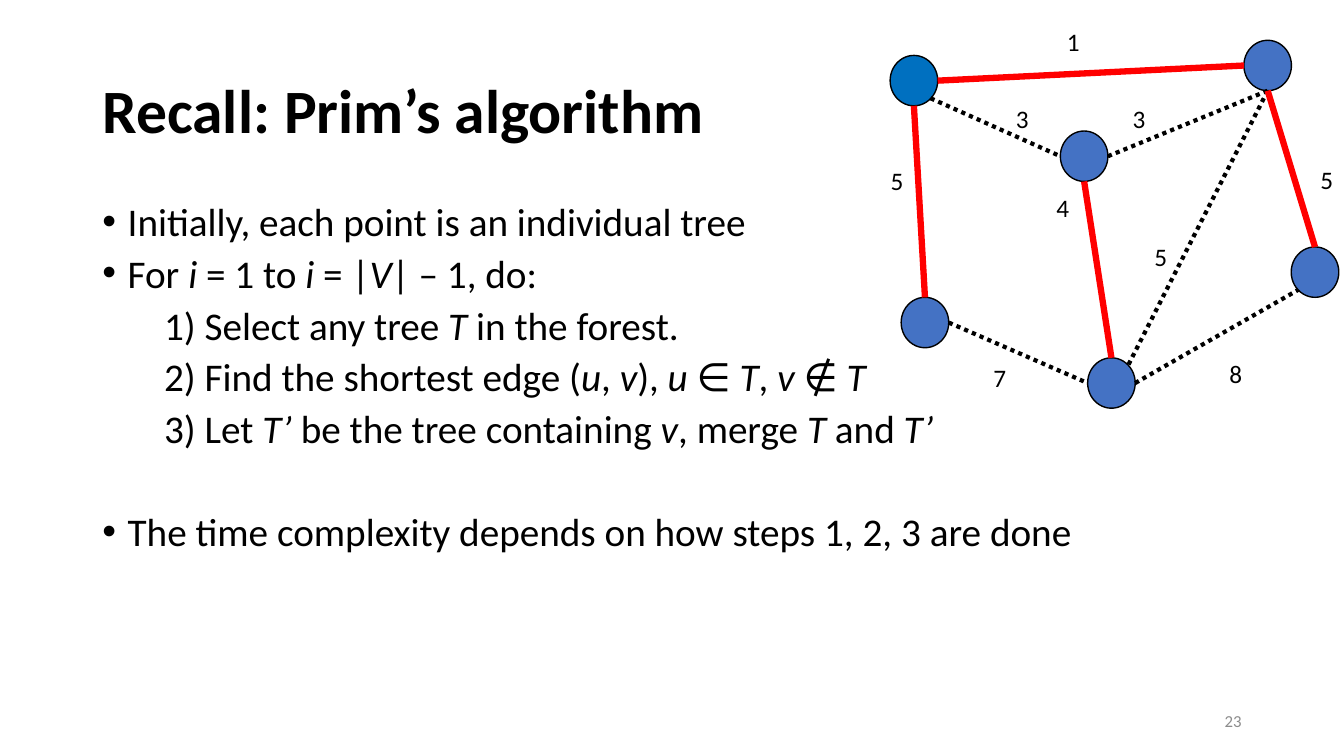
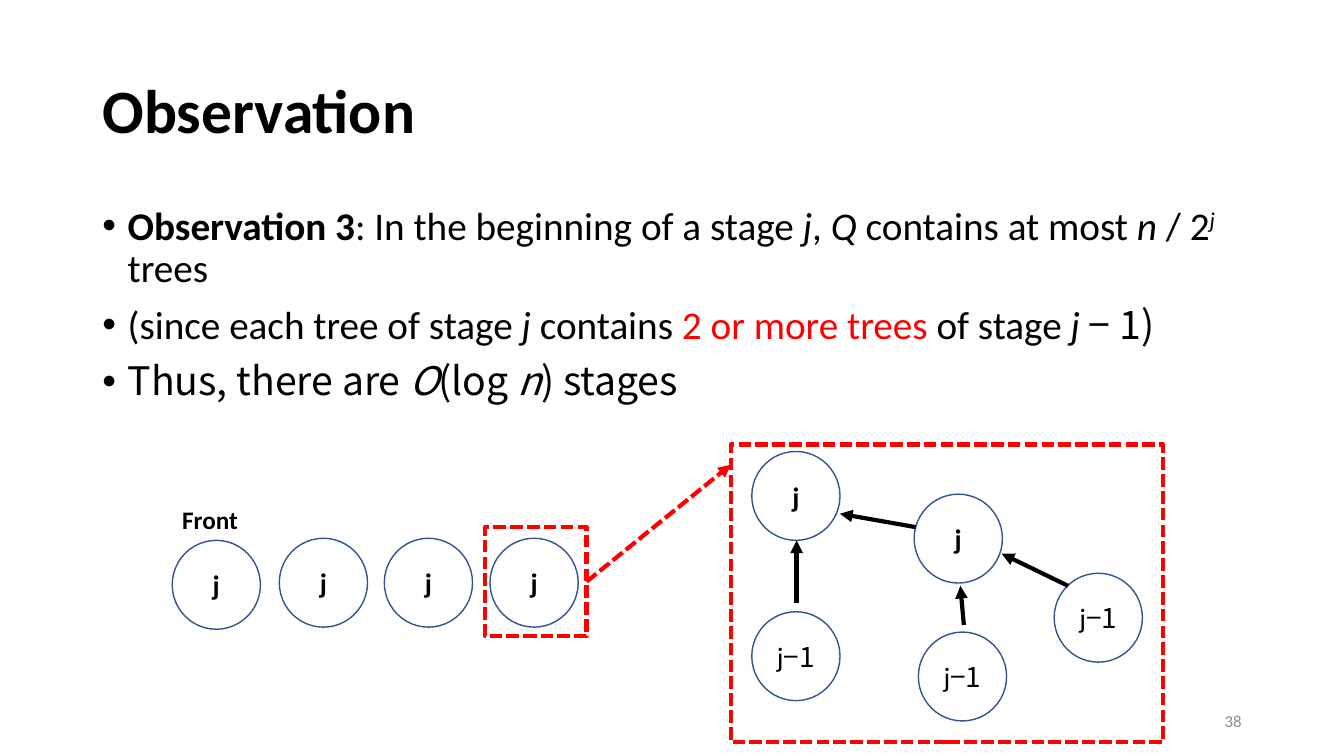
"""Build two slides on Prim's algorithm and its stage-wise queue of trees."""
from lxml import etree
from pptx import Presentation
from pptx.dml.color import RGBColor
from pptx.enum import dml, shapes, text
from pptx.oxml.ns import qn
from pptx.util import Pt

HUES = {"ink": "000000", "red": "FF0000", "blue": "4472C4", "root": "0070C0",
        "rim": "325491", "grey": "8C8C8C", "white": "FFFFFF"}
HUES = {key: RGBColor.from_string(val) for key, val in HUES.items()}
NOTO = "Noto Sans CJK JP"
DOT, DASH = dml.MSO_LINE.ROUND_DOT, dml.MSO_LINE.SQUARE_DOT
OVAL, RECT = shapes.MSO_SHAPE.OVAL, shapes.MSO_SHAPE.RECTANGLE


def say(par, words, size=18, hue="ink", bold=False, font="Calibri", lift=0):
    """Add runs to a paragraph; underscores switch italics on and off."""
    for num, part in enumerate(words.split("_")):
        if part:
            run = par.add_run()
            run.text = part
            face = run.font
            face.size, face.name, face.bold = Pt(size), font, bold
            face.italic = num % 2 == 1
            face.color.rgb = HUES[hue]
            if lift:
                run._r.get_or_add_rPr().set("baseline", str(lift * 1000))


def link(page, start, end, hue="ink", width=3, dash=None, arrow=False):
    """Draw a straight line between two points."""
    line = page.shapes.add_connector(
        shapes.MSO_CONNECTOR.STRAIGHT, *[Pt(val) for val in (*start, *end)])
    line.line.color.rgb = HUES[hue]
    line.line.width = Pt(width)
    if dash:
        line.line.dash_style = dash
    if arrow:
        etree.SubElement(line.line._get_or_add_ln(), qn("a:tailEnd"), type="triangle")
    etree.SubElement(line._element.spPr, qn("a:effectLst"))
    return line


STEP, ITEM = 44, 18
pages = [
    ("Recall: Prim’s algorithm", "23", 0.8, [
        (ITEM, 10, [("Initially, each point is an individual tree", {})]),
        (ITEM, 10, [("For _i_ = 1 to _i_ = |_V_| – 1, do:", {})]),
        (STEP, 10, [("1) Select any tree _T_ in the forest.", {})]),
        (STEP, 10, [("2) Find the shortest edge (_u_, _v_), _u_ ∈ _T_, _v _∉ _T_", {})]),
        (STEP, 10, [("3) Let _T’ _be the tree containing _v_, merge _T_ and _T’_", {})]),
        (ITEM, 47, [("The time complexity depends on how steps 1, 2, 3 are done", {})]),
    ]),
    ("Observation", "38", 0.9, [
        (ITEM, 10, [("Observation 3", {"bold": True}),
                    (": In the beginning of a stage _j_, _Q_ contains at most _n_ / 2", {}),
                    ("_j_", {"lift": 30}), (" trees", {})]),
        (ITEM, 10, [("(since each tree of stage _j _contains ", {}),
                    ("2 or more trees ", {"hue": "red"}),
                    ("of stage _j _", {}), ("− 1)", {"font": NOTO})]),
        (ITEM, 10, [("Thus, there are _O_(log _n_) stages", {"font": NOTO})]),
    ]),
]

deck = Presentation()
deck.slide_width, deck.slide_height = Pt(960), Pt(540)
for name, number, lead, items in pages:
    page = deck.slides.add_slide(deck.slide_layouts[1])
    title, body = page.placeholders
    for box, top, high in ((title, 29, 104), (body, 144, 343)):
        box.left, box.top, box.width, box.height = Pt(66), Pt(top), Pt(828), Pt(high)
        box.text_frame.auto_size = text.MSO_AUTO_SIZE.NONE
    title.text_frame.vertical_anchor = text.MSO_ANCHOR.MIDDLE
    par = title.text_frame.paragraphs[0]
    par.alignment, par.line_spacing = text.PP_ALIGN.LEFT, 0.9
    say(par, name, size=44, bold=True)

    for num, (inset, gap, parts) in enumerate(items):
        frame = body.text_frame
        par = frame.add_paragraph() if num else frame.paragraphs[0]
        par.line_spacing, par.space_before = lead, Pt(gap)
        props = par._p.get_or_add_pPr()
        props.set("marL", str(Pt(inset)))
        props.set("indent", str(Pt(-ITEM if inset == ITEM else 0)))
        if inset == STEP:
            etree.SubElement(props, qn("a:buNone"))
        for words, form in parts:
            say(par, words, size=28, **form)

    foot = page.shapes.add_textbox(Pt(678), Pt(500.5), Pt(216), Pt(29)).text_frame
    foot.vertical_anchor = text.MSO_ANCHOR.MIDDLE
    foot.paragraphs[0].alignment = text.PP_ALIGN.RIGHT
    say(foot.paragraphs[0], number, size=12, hue="grey")

graph, queue = deck.slides

WIDE, HIGH = 34, 36
nodes = {"A": (635.8, 39.6), "B": (643.7, 212.4), "C": (757.4, 93.6),
         "D": (888.5, 28.8), "E": (776.9, 255.6), "F": (922.3, 176.4)}
for key, (left, top) in nodes.items():
    dot = graph.shapes.add_shape(OVAL, Pt(left), Pt(top), Pt(WIDE), Pt(HIGH))
    dot.shadow.inherit = False
    dot.fill.solid()
    dot.fill.fore_color.rgb = HUES["root" if key == "A" else "blue"]
    dot.line.color.rgb, dot.line.width = HUES["ink"], Pt(1)

sides = {"t": (0.5, 0), "b": (0.5, 1), "l": (0, 0.5), "r": (1, 0.5),
         "tr": (0.85, 0.15), "bl": (0.15, 0.85), "br": (0.85, 0.85)}
loose = ["Abr Cl", "Cr Db", "Db Etr", "Br El", "Er Fbl"]
tree = ["Cb Et", "Ar Dl", "Ft Db", "Bt Ab"]
for edge in loose + tree:
    ends = []
    for spot in edge.split():
        (left, top), (across, down) = nodes[spot[0]], sides[spot[1:]]
        ends.append((left + across * WIDE, top + down * HIGH))
    if edge in tree:
        link(graph, *ends, hue="red", width=4.5)
    else:
        link(graph, *ends, dash=DOT)

labels = [(graph, "1", 755, 15), (graph, "3", 718.5, 70.5), (graph, "5", 629, 114.5),
          (graph, "3", 802, 70), (graph, "5", 817.5, 169), (graph, "7", 702.5, 255.5),
          (graph, "8", 871, 252.5), (graph, "5", 936, 114), (graph, "4", 747.5, 134),
          (queue, "Front", 123, 356.5)]
for page, words, left, top in labels:
    wide = 55 if page is queue else 24
    frame = page.shapes.add_textbox(Pt(left), Pt(top), Pt(wide), Pt(29)).text_frame
    frame.word_wrap = False
    say(frame.paragraphs[0], words, bold=page is queue)

rings = [(123, 386, True), (199.5, 384.5, True), (274.5, 384.5, True),
         (350, 384.5, True), (537, 322.5, True), (653, 353, True),
         (537, 437, False), (656, 451.5, False), (753, 409.5, False)]
for left, top, now in rings:
    ring = queue.shapes.add_shape(OVAL, Pt(left), Pt(top), Pt(63), Pt(63.5))
    ring.shadow.inherit = False
    ring.fill.solid()
    ring.fill.fore_color.rgb = HUES["white"]
    ring.line.color.rgb, ring.line.width = HUES["rim"], Pt(1)
    frame = ring.text_frame
    frame.margin_left = frame.margin_right = 0
    par = frame.paragraphs[0]
    par.alignment = text.PP_ALIGN.CENTER
    say(par, "j", size=20, bold=now)
    if not now:
        say(par, "−1", size=20, font=NOTO)

frames = []
for area in ((346.5, 376.5, 72.5, 78), (522, 317.5, 309, 212.5)):
    box = queue.shapes.add_shape(RECT, *[Pt(val) for val in area])
    box.shadow.inherit = False
    box.fill.background()
    box.line.color.rgb, box.line.width = HUES["red"], Pt(3)
    box.line.dash_style = DASH
    frames.append(box)

zoom = link(queue, (419, 415.5), (522, 332), hue="red", dash=DASH, arrow=True)
zoom.begin_connect(frames[0], 3)
for start, end in (((569, 431), (569, 386)), ((654, 376.5), (600, 367)),
                   ((688.5, 446.5), (686, 418.5)), ((763, 418.5), (715.5, 395.5))):
    link(queue, start, end, arrow=True)

deck.save("out.pptx")
